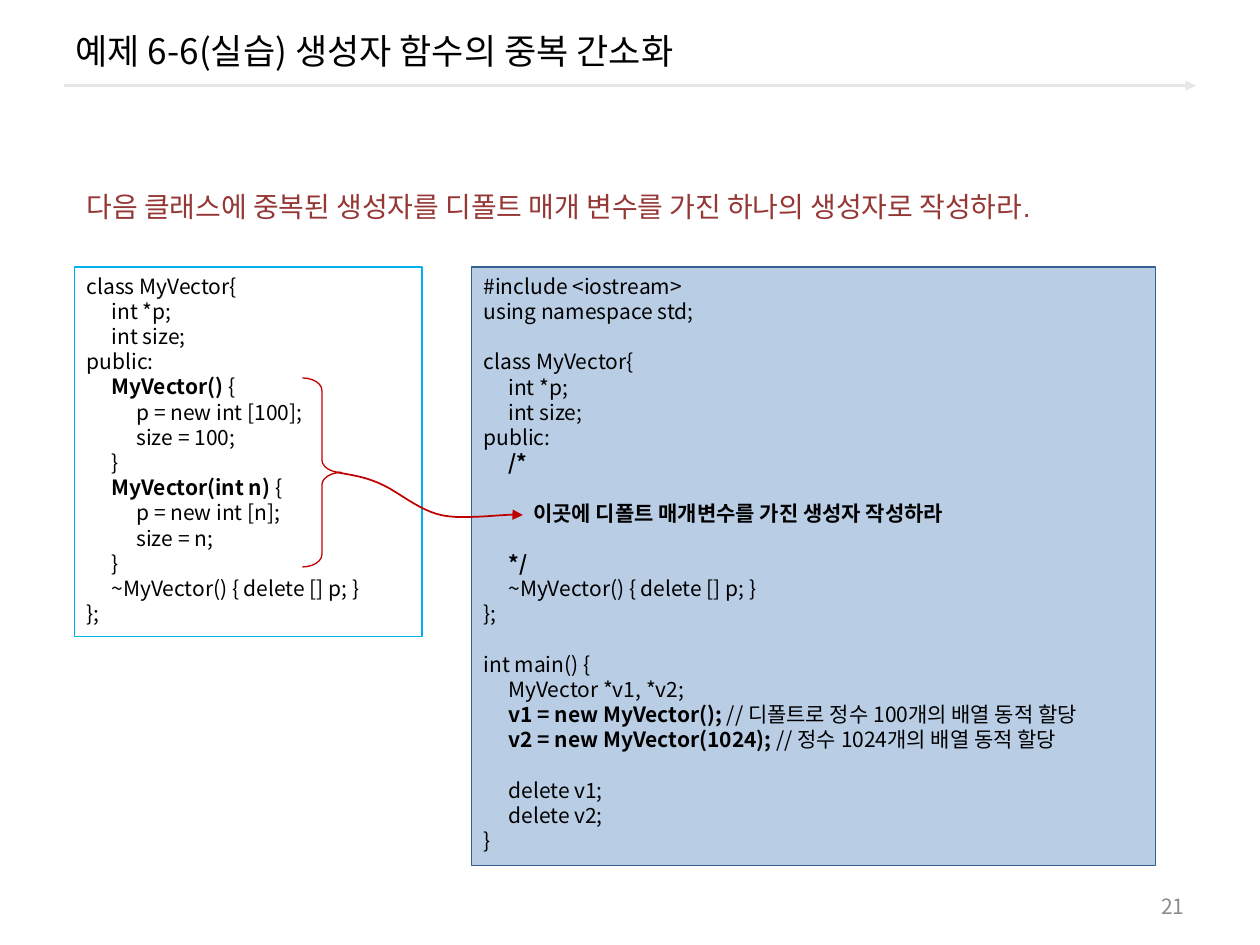
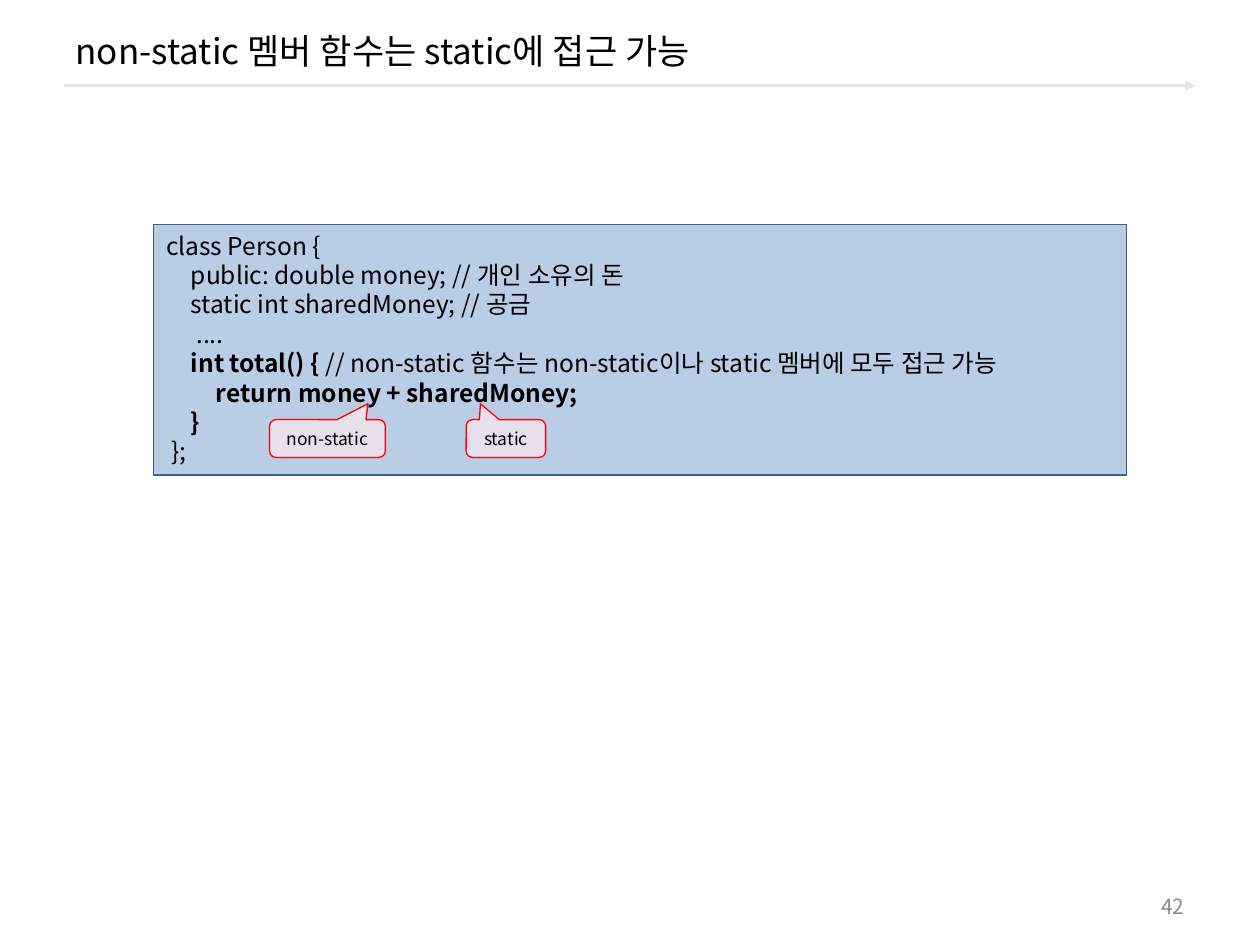
"""Builds two C++ lecture slides: merging constructors, and access to static members."""
from lxml import etree
from pptx import Presentation
from pptx.dml.color import RGBColor
from pptx.enum.shapes import MSO_CONNECTOR, MSO_SHAPE
from pptx.enum.text import MSO_ANCHOR, MSO_AUTO_SIZE, PP_ALIGN
from pptx.oxml.ns import qn
from pptx.util import Pt

RECT, BRACE = MSO_SHAPE.RECTANGLE, MSO_SHAPE.RIGHT_BRACE
CALLOUT = MSO_SHAPE.ROUNDED_RECTANGULAR_CALLOUT
STRAIGHT = MSO_CONNECTOR.STRAIGHT
TOP, MIDDLE = MSO_ANCHOR.TOP, MSO_ANCHOR.MIDDLE
LEFT, CENTER, RIGHT = PP_ALIGN.LEFT, PP_ALIGN.CENTER, PP_ALIGN.RIGHT
NO_FIT = MSO_AUTO_SIZE.NONE

COLORS = {
    "text": "000000", "number": "8C8C8C", "task": "953735", "rule": "E6E6E6",
    "code": "B9CDE5", "code_line": "376092", "given_line": "00B0F0",
    "mark": "C00000", "callout": "E6E0EC", "callout_line": "FF0000",
}
FONT = "Noto Sans CJK KR"
TAB = 14.2
INDENT = "    "

GIVEN_CODE = """class MyVector{
    int *p;
    int size;
public:
    |MyVector() |{
        p = new int [100];
        size = 100;
    }
    |MyVector(int n) |{
        p = new int [n];
        size = n;
    }
    ~MyVector() { delete [] p; }
};"""

TASK_CODE = """#include <iostream>
using namespace std;

class MyVector{
    int *p;
    int size;
public:
    |/*

        |이곳에 디폴트 매개변수를 가진 생성자 작성하라

    |*/
    ~MyVector() { delete [] p; }
};

int main() {
    MyVector *v1, *v2;
    |v1 = new MyVector(); |// 디폴트로 정수 100개의 배열 동적 할당
    |v2 = new MyVector(1024); |// 정수 1024개의 배열 동적 할당

    delete v1;
    delete v2;
}"""

PERSON_CODE = """class Person {
    public: double money; // 개인 소유의 돈
    static int sharedMoney; // 공금
     ....
    |int total() { |// non-static 함수는 non-static이나 static 멤버에 모두 접근 가능
        |return money + sharedMoney;
    |}
 };"""


def write(sp, text, size, color="text", align=LEFT, anchor=MIDDLE, font=FONT, code=False):
    """Fill a shape with lines of text; bars switch bold on and off."""
    tf = sp.text_frame
    for name, value in {"word_wrap": True, "auto_size": NO_FIT, "vertical_anchor": anchor}.items():
        setattr(tf, name, value)
    p, gap = None, 0
    for line in text.split("\n"):
        if not line:
            gap += 1
            continue
        p = tf.add_paragraph() if p else tf.paragraphs[0]
        p.alignment = align
        if code:
            p.line_spacing = Pt(size * 1.2)
            p.space_before = Pt(size * 1.2 * gap)
            tabs = etree.SubElement(p._p.get_or_add_pPr(), qn("a:tabLst"))
            for stop in (1, 2):
                etree.SubElement(tabs, qn("a:tab"), pos=str(Pt(TAB * stop)), algn="l")
        gap = 0
        for i, part in enumerate(line.replace(INDENT, "\t").split("|")):
            if not part:
                continue
            r = p.add_run()
            r.text = part
            for name, value in {"size": Pt(size), "name": font, "bold": i % 2 == 1}.items():
                setattr(r.font, name, value)
            r.font.color.rgb = RGBColor.from_string(COLORS[color])
            etree.SubElement(r._r.get_or_add_rPr(), qn("a:ea"), typeface=FONT)


def paint(sp, line, width, fill=None, arrow=False):
    """Set line and fill of a shape or connector and take its shadow away."""
    sp.line.color.rgb = RGBColor.from_string(COLORS[line])
    sp.line.width = Pt(width)
    if arrow:
        etree.SubElement(sp.line._get_or_add_ln(), qn("a:tailEnd"), type="triangle")
    if fill:
        sp.fill.solid()
        sp.fill.fore_color.rgb = RGBColor.from_string(COLORS[fill])
    elif hasattr(sp, "fill"):
        sp.fill.background()
    if hasattr(sp, "shadow"):
        sp.shadow.inherit = False
    else:
        etree.SubElement(sp._element.spPr, qn("a:effectLst"))


prs = Presentation()
prs.slide_width, prs.slide_height = Pt(720), Pt(540)
layout = prs.slide_layouts[5]
title = layout.placeholders[0]
for name, value in {"left": 36, "top": 5.8, "width": 648, "height": 46}.items():
    setattr(title, name, Pt(value))

PAGES = [
    ("예제 6-6(실습) 생성자 함수의 중복 간소화", "21"),
    ("non-static 멤버 함수는 static에 접근 가능", "42"),
]
slides = []
for heading, number in PAGES:
    s = prs.slides.add_slide(layout)
    write(s.shapes.title, heading, 20)
    write(s.shapes.add_textbox(Pt(516), Pt(506), Pt(168), Pt(23)), number, 12, "number", RIGHT)
    slides.append(s)
constructors, statics = slides

rule = constructors.shapes.add_connector(STRAIGHT, Pt(36.7), Pt(49), Pt(683.3), Pt(49))
paint(rule, "rule", 1.5, arrow=True)
layout.shapes._spTree.append(rule._element)

task = constructors.shapes.add_textbox(Pt(42.5), Pt(104.4), Pt(618), Pt(26.6))
write(task, "다음 클래스에 중복된 생성자를 디폴트 매개 변수를 가진 하나의 생성자로 작성하라.",
      16, "task", font="Arial")

CODE_BOXES = [
    (constructors, GIVEN_CODE, 12, (42.5, 152.6, 198.7, 211), "given_line", None),
    (constructors, TASK_CODE, 12, (269.3, 152.6, 391, 342), "code_line", "code"),
    (statics, PERSON_CODE, 14, (87.8, 128.2, 555.8, 143.3), "code_line", "code"),
]
for s, code, size, box, line, fill in CODE_BOXES:
    sp = s.shapes.add_shape(RECT, *map(Pt, box))
    paint(sp, line, 0.75, fill)
    write(sp, code, size, anchor=TOP, code=True)

brace = constructors.shapes.add_shape(BRACE, Pt(172.8), Pt(216), Pt(22.3), Pt(108))
brace.adjustments[0], brace.adjustments[1] = 0.32, 0.5
paint(brace, "mark", 0.75)

CURVE = [(193, 270), (200, 271.4), (208, 272.2), (217.4, 276.5), (227.5, 280.8),
         (239, 291.6), (252.7, 294.5), (265.7, 297.4), (293, 293), (298.8, 294.3)]
STEPS = 12
points = []
for start in range(0, len(CURVE) - 1, 3):
    a, b, c, d = CURVE[start:start + 4]
    for step in range(1, STEPS + 1):
        t = step / STEPS
        u = 1 - t
        points.append(tuple(
            Pt(u**3 * a[k] + 3 * u * u * t * b[k] + 3 * u * t * t * c[k] + t**3 * d[k])
            for k in (0, 1)))
builder = constructors.shapes.build_freeform(Pt(CURVE[0][0]), Pt(CURVE[0][1]))
builder.add_line_segments(points, close=False)
paint(builder.convert_to_shape(), "mark", 1, arrow=True)

for label, left, width, tip in (("non-static", 154, 66.2, 0.35), ("static", 266.4, 45.4, -0.32)):
    sp = statics.shapes.add_shape(CALLOUT, Pt(left), Pt(239.8), Pt(width), Pt(21.6))
    for i, value in enumerate((tip, -0.92, 0.17)):
        sp.adjustments[i] = value
    paint(sp, "callout_line", 0.75, "callout")
    write(sp, label, 10, align=CENTER)

prs.save("out.pptx")
